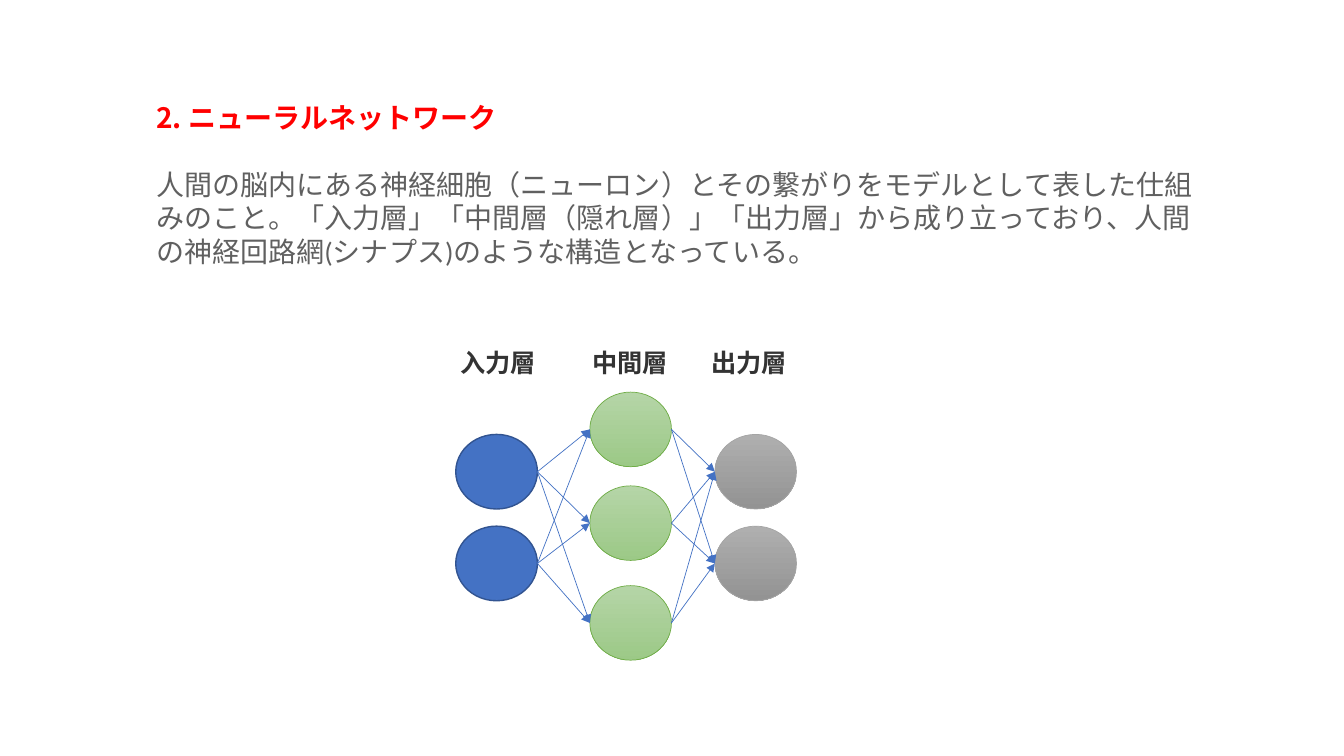
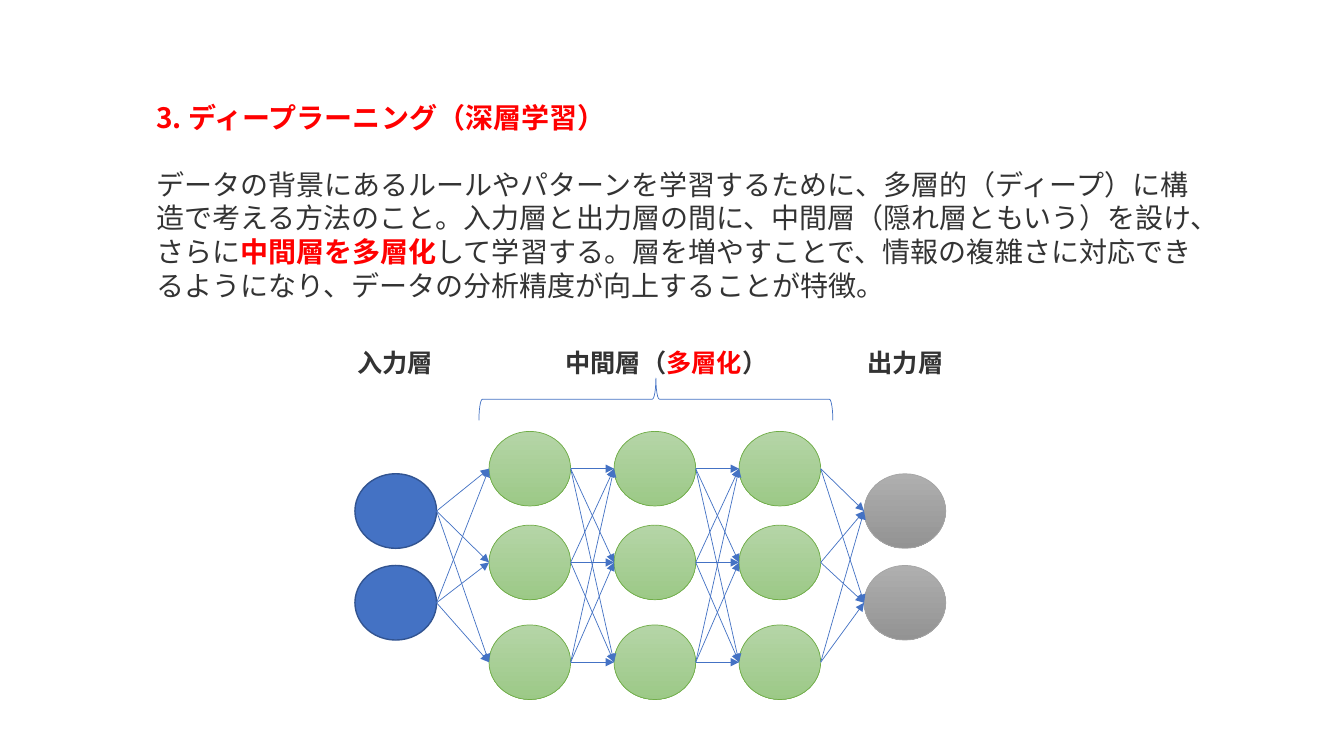
from itertools import product

from lxml.etree import SubElement
from pptx import Presentation
from pptx.dml.color import RGBColor
from pptx.enum.shapes import MSO_CONNECTOR, MSO_SHAPE
from pptx.enum.text import MSO_ANCHOR, MSO_AUTO_SIZE, PP_ALIGN
from pptx.oxml.ns import qn
from pptx.util import Inches, Pt

RED = RGBColor(0xFF, 0x00, 0x00)
DARK = RGBColor(0x33, 0x33, 0x33)
GRAY_TEXT = RGBColor(0x60, 0x60, 0x60)
BLUE = RGBColor(0x44, 0x72, 0xC4)
NAVY = RGBColor(0x32, 0x54, 0x91)
GREEN = RGBColor(0x70, 0xAD, 0x47)
GREEN_TOP = RGBColor(0xB5, 0xD5, 0xA7)
GREEN_BOTTOM = RGBColor(0x9C, 0xC9, 0x87)
GRAY = RGBColor(0xA5, 0xA5, 0xA5)
GRAY_TOP = RGBColor(0xAF, 0xAF, 0xAF)
GRAY_BOTTOM = RGBColor(0x93, 0x93, 0x93)

CJK_FONT = "Noto Sans CJK JP"
LATIN_FONT = "Calibri"

TEXT_LEFT, TEXT_WIDTH = 1.45, 10.6
TITLE_TOP, TITLE_HEIGHT = 0.95, 0.44
BODY_TOP, LINE_HEIGHT = 1.61, 0.34
LABEL_TOP, LABEL_HEIGHT = 3.4, 0.4
LABEL_WIDTH, WIDE_LABEL_WIDTH = 1.52, 2.26

NODE_WIDTH, NODE_HEIGHT = 0.81, 0.74
INPUT_GAP, LAYER_GAP = 0.52, 0.43
OUTER_ROWS = (0.42, 1.33)
HIDDEN_ROWS = (0, 0.93, 1.92)

INPUT_STYLE = ((BLUE,), NAVY, 1)
HIDDEN_STYLE = ((GREEN_TOP, GREEN_BOTTOM), GREEN, 0.5)
OUTPUT_STYLE = ((GRAY_TOP, GRAY_BOTTOM), GRAY, 0.5)


def inches(*lengths):
    """Turn lengths in inches into slide units."""
    return [Inches(length) for length in lengths]


def fill_text(frame, spans, size, color, bold, align=PP_ALIGN.LEFT, latin=CJK_FONT):
    """Write (text, accented) spans as one paragraph with a shared font."""
    frame.word_wrap = True
    frame.auto_size = MSO_AUTO_SIZE.NONE
    frame.vertical_anchor = MSO_ANCHOR.TOP
    para = frame.paragraphs[0]
    para.alignment = align
    para.font.size = Pt(size)
    para.font.bold = bold
    para.font.color.rgb = color
    para.font.name = latin
    defaults = para._p.get_or_add_pPr().find(qn("a:defRPr"))
    SubElement(defaults, qn("a:ea")).set("typeface", CJK_FONT)
    for text, accented in spans:
        span = para.add_run()
        span.text = text
        if accented:
            span.font.bold = True
            span.font.color.rgb = RED


def add_heading(page, text):
    """Place the red heading in the title placeholder."""
    title = page.shapes.title
    title.left, title.top, title.width, title.height = inches(
        TEXT_LEFT, TITLE_TOP, TEXT_WIDTH, TITLE_HEIGHT)
    fill_text(title.text_frame, [(text, False)], 20, RED, True)


def add_body(page, spans, lines, color, latin):
    """Place the explanation under the heading."""
    box = page.shapes.add_textbox(
        *inches(TEXT_LEFT, BODY_TOP, TEXT_WIDTH, lines * LINE_HEIGHT + 0.1))
    fill_text(box.text_frame, spans, 20, color, False, latin=latin)


def add_label(page, spans, center, width=LABEL_WIDTH):
    """Centre a layer name on a horizontal position."""
    box = page.shapes.add_textbox(
        *inches(center - width / 2, LABEL_TOP, width, LABEL_HEIGHT))
    fill_text(box.text_frame, spans, 18, DARK, True, PP_ALIGN.CENTER)


def add_node(page, left, top, style):
    """Draw one neuron with a plain or top-to-bottom gradient fill."""
    colors, line_color, line_width = style
    node = page.shapes.add_shape(
        MSO_SHAPE.OVAL, *inches(left, top, NODE_WIDTH, NODE_HEIGHT))
    node.shadow.inherit = False
    if len(colors) == 1:
        node.fill.solid()
        node.fill.fore_color.rgb = colors[0]
    else:
        node.fill.gradient()
        node.fill.gradient_angle = 270
        for stop, color in zip(node.fill.gradient_stops, colors):
            stop.color.rgb = color
    node.line.color.rgb = line_color
    node.line.width = Pt(line_width)


def add_arrow(page, start, end):
    """Draw a thin blue arrow between two points."""
    arrow = page.shapes.add_connector(
        MSO_CONNECTOR.STRAIGHT, *inches(*start, *end))
    arrow.line.color.rgb = BLUE
    arrow.line.width = Pt(0.5)
    SubElement(arrow.line._get_or_add_ln(), qn("a:tailEnd")).set("type", "triangle")
    SubElement(arrow._element.spPr, qn("a:effectLst"))


def add_network(page, left, top, hidden_count):
    """Draw the layers from left to right and link every neighbouring pair."""
    layers = [(left, OUTER_ROWS, INPUT_STYLE)]
    first_hidden = left + NODE_WIDTH + INPUT_GAP
    for index in range(hidden_count + 1):
        is_output = index == hidden_count
        layers.append((
            first_hidden + index * (NODE_WIDTH + LAYER_GAP),
            OUTER_ROWS if is_output else HIDDEN_ROWS,
            OUTPUT_STYLE if is_output else HIDDEN_STYLE))
    for column, rows, style in layers:
        for row in rows:
            add_node(page, column, top + row, style)
    middle = top + NODE_HEIGHT / 2
    for (source, source_rows, _), (target, target_rows, _) in zip(layers, layers[1:]):
        for source_row, target_row in product(source_rows, target_rows):
            add_arrow(page, (source + NODE_WIDTH, middle + source_row),
                      (target, middle + target_row))


def add_brace(page, left, top, width, height):
    """Draw a brace that opens downward over the given box."""
    brace = page.shapes.add_shape(MSO_SHAPE.LEFT_BRACE, *inches(
        left + (width - height) / 2, top + (height - width) / 2, height, width))
    brace.rotation = 90
    brace.shadow.inherit = False
    brace.fill.background()
    brace.line.color.rgb = BLUE
    brace.line.width = Pt(0.5)


def build_neural_network(page):
    """Build the slide on the simple neural network."""
    add_heading(page, "2. ニューラルネットワーク")
    add_body(page, [(
        "人間の脳内にある神経細胞（ニューロン）とその繋がりをモデルとして表した仕組みのこと。"
        "「入力層」「中間層（隠れ層）」「出力層」から成り立っており、"
        "人間の神経回路網(シナプス)のような構造となっている。", False)],
        3, GRAY_TEXT, LATIN_FONT)
    add_network(page, 4.52, 3.89, 1)
    add_label(page, [("入力層", False)], 4.94)
    add_label(page, [("中間層", False)], 6.25, WIDE_LABEL_WIDTH)
    add_label(page, [("出力層", False)], 7.43)


def build_deep_learning(page):
    """Build the slide on deep learning with several hidden layers."""
    add_heading(page, "3. ディープラーニング（深層学習）")
    add_body(page, [
        ("データの背景にあるルールやパターンを学習するために、多層的（ディープ）に構造で"
         "考える方法のこと。入力層と出力層の間に、中間層（隠れ層ともいう）を設け、さらに", False),
        ("中間層を多層化", True),
        ("して学習する。層を増やすことで、情報の複雑さに対応できるようになり、"
         "データの分析精度が向上することが特徴。", False)],
        4, DARK, CJK_FONT)
    add_network(page, 3.52, 4.28, 3)
    add_brace(page, 4.75, 3.75, 3.51, 0.42)
    add_label(page, [("入力層", False)], 3.92)
    add_label(page, [("中間層（", False), ("多層化", True), ("）", False)],
              6.61, WIDE_LABEL_WIDTH)
    add_label(page, [("出力層", False)], 8.98)


def main():
    """Build and save the deck."""
    deck = Presentation()
    deck.slide_width, deck.slide_height = inches(13.33, 7.5)
    title_only = deck.slide_layouts[5]
    for build in (build_neural_network, build_deep_learning):
        build(deck.slides.add_slide(title_only))
    deck.save("out.pptx")


if __name__ == "__main__":
    main()
